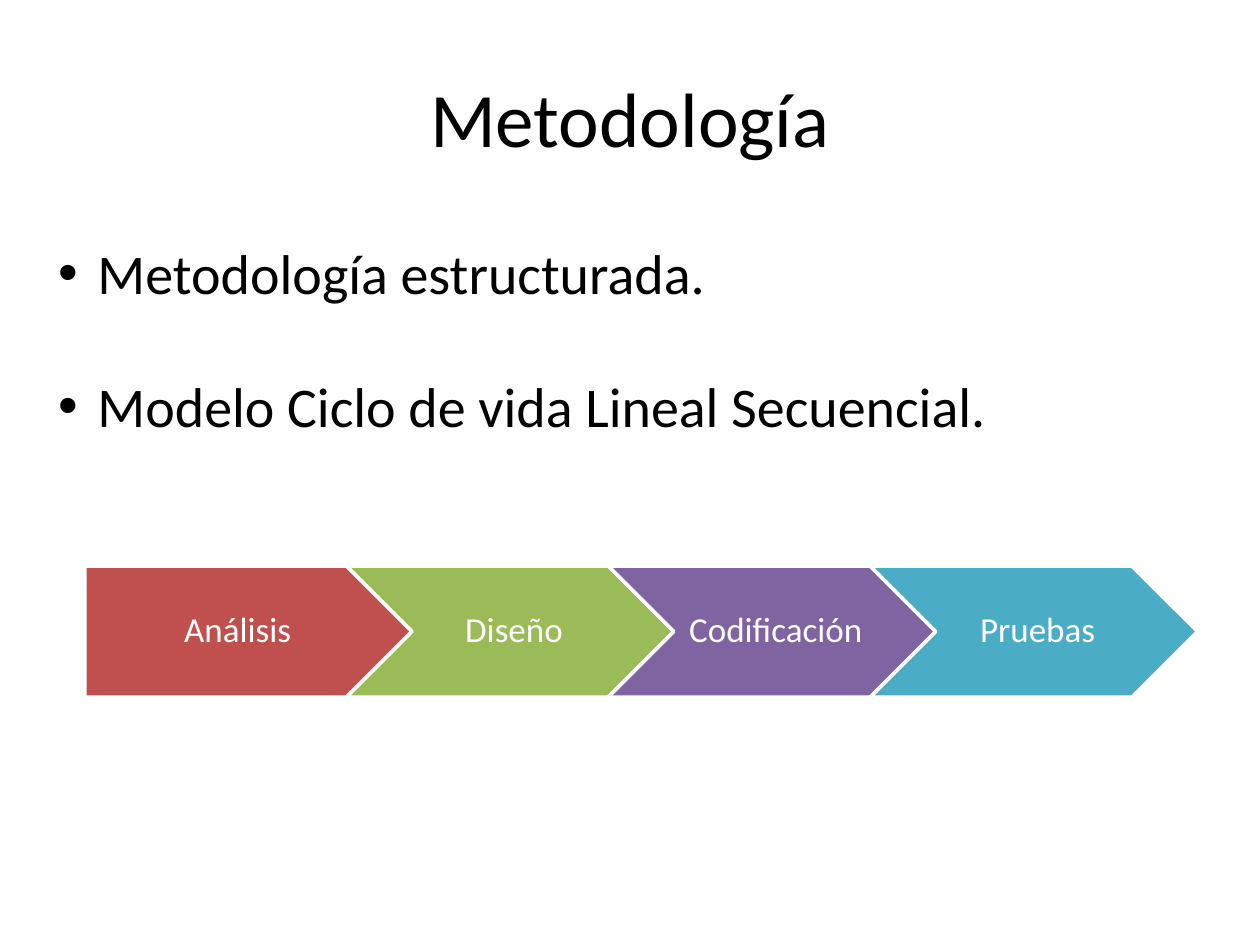
import dataclasses

import pptx
import pptx.dml.color
import pptx.enum.shapes
import pptx.enum.text
import pptx.util

Pt = pptx.util.Pt
RGB = pptx.dml.color.RGBColor.from_string
Preset = pptx.enum.shapes.MSO_SHAPE
Align = pptx.enum.text.PP_ALIGN
Anchor = pptx.enum.text.MSO_ANCHOR


@dataclasses.dataclass(frozen=True)
class Theme:
    font: str = "Calibri"
    ink: str = "000000"
    paper: str = "FFFFFF"
    phases: tuple = ("C0504D", "9BBB59", "8064A2", "4BACC6")
    title_size: int = 44
    body_size: int = 32
    phase_size: int = 20


def write(paragraph, text, *, font, size, color, align=None, before=0,
          after=0, spacing=None, indent=None):
    """Fill a paragraph and format it."""
    if indent is not None:
        properties = paragraph._p.get_or_add_pPr()
        properties.set("marL", str(Pt(indent)))
        properties.set("indent", str(-Pt(indent)))
    paragraph.text = text
    paragraph.alignment = align
    paragraph.space_before = Pt(before)
    paragraph.space_after = Pt(after)
    paragraph.line_spacing = spacing
    paragraph.font.name = font
    paragraph.font.size = Pt(size)
    paragraph.font.color.rgb = RGB(color)


def place(shape, left, top, width, height):
    shape.left, shape.top = Pt(left), Pt(top)
    shape.width, shape.height = Pt(width), Pt(height)


class SlideBuilder:
    def __init__(self, slide, theme):
        self.slide = slide
        self.theme = theme

    def title(self, text, box):
        heading = self.slide.shapes.title
        place(heading, *box)
        heading.text_frame.vertical_anchor = Anchor.MIDDLE
        write(heading.text_frame.paragraphs[0], text, font=self.theme.font,
              size=self.theme.title_size, color=self.theme.ink,
              align=Align.CENTER)

    def bullets(self, items, box, gap):
        body = self.slide.placeholders[1]
        place(body, *box)
        frame = body.text_frame
        frame.auto_size = pptx.enum.text.MSO_AUTO_SIZE.NONE
        for index, item in enumerate(items):
            paragraph = frame.add_paragraph() if index else frame.paragraphs[0]
            write(paragraph, item, font=self.theme.font,
                  size=self.theme.body_size, color=self.theme.ink,
                  before=gap if index else 0, indent=22.5)

    def phase(self, preset, text, color, box, left_inset):
        left, top, width, height = map(Pt, box)
        arrow = self.slide.shapes.add_shape(preset, left, top, width, height)
        arrow.shadow.inherit = False
        arrow.fill.solid()
        arrow.fill.fore_color.rgb = RGB(color)
        arrow.line.color.rgb = RGB(self.theme.paper)
        arrow.line.width = Pt(2)
        frame = arrow.text_frame
        frame.word_wrap = True
        frame.vertical_anchor = Anchor.MIDDLE
        frame.margin_left, frame.margin_right = Pt(left_inset), Pt(2)
        frame.margin_top = frame.margin_bottom = Pt(4)
        write(frame.paragraphs[0], text, font=self.theme.font,
              size=self.theme.phase_size, color=self.theme.paper,
              align=Align.CENTER, spacing=0.9, after=7)

    def process(self, names, left, top, width, height):
        """Row of arrows, each overlapping the one before by a fifth."""
        for index, (name, color) in enumerate(zip(names, self.theme.phases)):
            box = (left + index * width * 0.8, top, width, height)
            if index == 0:
                self.phase(Preset.PENTAGON, name, color, box, 8.4)
            else:
                self.phase(Preset.CHEVRON, name, color, box, 6.3)


def main():
    deck = pptx.Presentation()
    deck.slide_width, deck.slide_height = Pt(720), Pt(540)
    slide = deck.slides.add_slide(deck.slide_layouts[1])
    builder = SlideBuilder(slide, Theme())

    # Heading and key points
    builder.title("Metodología", (36, 21.6, 648, 90))
    builder.bullets(
        ["Metodología estructurada.",
         "Modelo Ciclo de vida Lineal Secuencial."],
        (26, 132.5, 668, 124), gap=38)

    # Life cycle phases
    builder.process(["Análisis", "Diseño", "Codificación", "Pruebas"],
                    left=48.5, top=323.5, width=187, height=74.8)

    deck.save("out.pptx")


if __name__ == "__main__":
    main()
